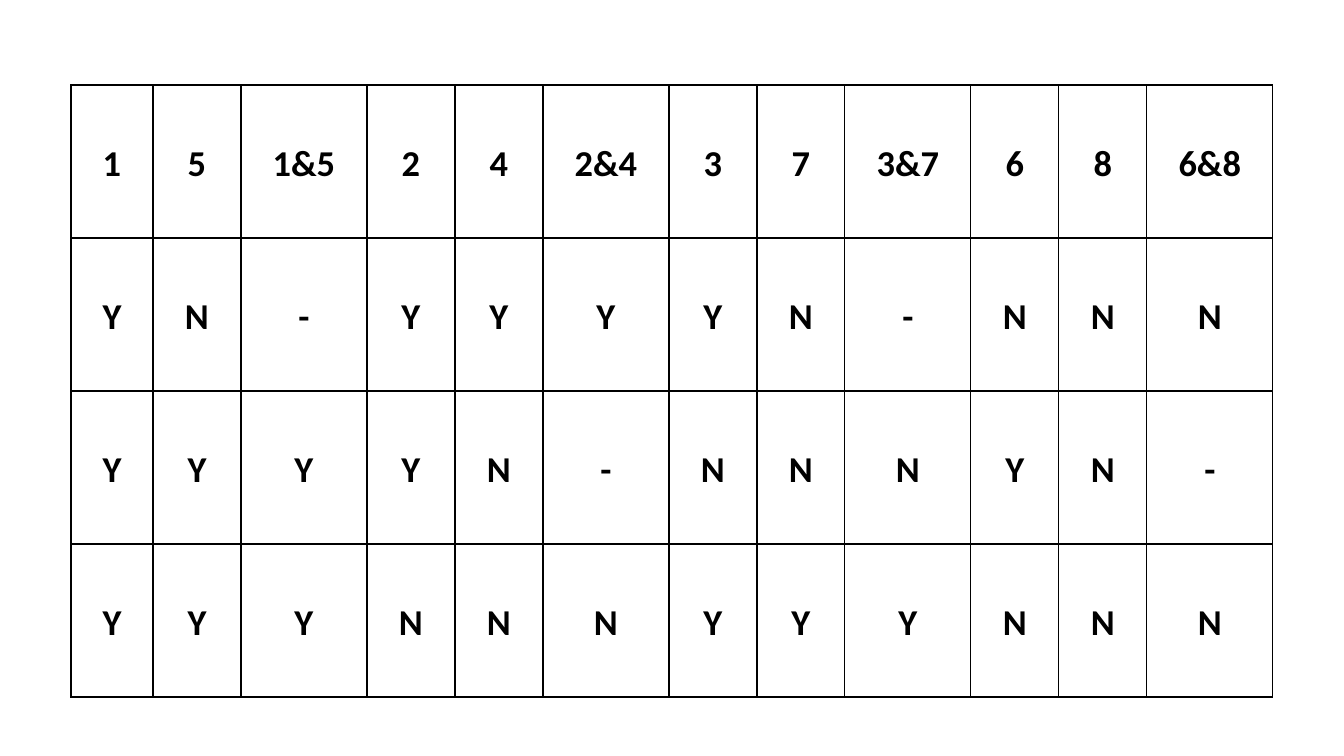
from pptx import Presentation
from pptx.dml.color import RGBColor
from pptx.enum.text import MSO_ANCHOR, PP_ALIGN
from pptx.oxml import parse_xml
from pptx.oxml.ns import nsdecls
from pptx.util import Emu, Pt

# Look of the slide
THEME = {"font": "Calibri", "size": 26, "ink": "000000", "line": 1}


def px(count):
    """Lengths in px, 1344 to the slide's width of 13.33 inches."""
    return Emu(round(count * 12192000 / 1344))


def border(cell):
    props = cell._tc.get_or_add_tcPr()
    for spot, side in enumerate(("lnL", "lnR", "lnT", "lnB")):
        props.insert(spot, parse_xml(
            f'<a:{side} {nsdecls("a")} w="{Pt(THEME["line"])}"><a:solidFill>'
            f'<a:srgbClr val="{THEME["ink"]}"/></a:solidFill></a:{side}>'))


# Each pair of columns is followed by their combined result
ROWS = [
    "1 5 1&5 2 4 2&4 3 7 3&7 6 8 6&8".split(),
    "Y N - Y Y Y Y N - N N N".split(),
    "Y Y Y Y N - N N N Y N -".split(),
    "Y Y Y N N N Y Y Y N N N".split(),
]
WIDTHS = [82, 88, 126] + [88, 88, 126] * 3
HIGH = 153

# Slide
deck = Presentation()
deck.slide_width, deck.slide_height = px(1344), px(756)
slide = deck.slides.add_slide(deck.slide_layouts[6])

# Table grid
table = slide.shapes.add_table(len(ROWS), len(WIDTHS), px(71), px(85),
                               px(sum(WIDTHS)), px(HIGH * len(ROWS))).table
table.first_row = table.horz_banding = False
for column, width in zip(table.columns, WIDTHS):
    column.width = px(width)

# Cells
for r, texts in enumerate(ROWS):
    table.rows[r].height = px(HIGH)
    for c, text in enumerate(texts):
        cell = table.cell(r, c)
        cell.text = text
        cell.fill.background()
        cell.vertical_anchor = MSO_ANCHOR.MIDDLE
        cell.margin_left = cell.margin_right = px(18)
        cell.margin_top, cell.margin_bottom = px(2), px(0)
        border(cell)
        para = cell.text_frame.paragraphs[0]
        para.alignment = PP_ALIGN.CENTER
        para.line_spacing = 1.07
        para.font.name = THEME["font"]
        para.font.size = Pt(THEME["size"])
        para.font.bold = True
        para.font.color.rgb = RGBColor.from_string(THEME["ink"])

deck.save("out.pptx")
